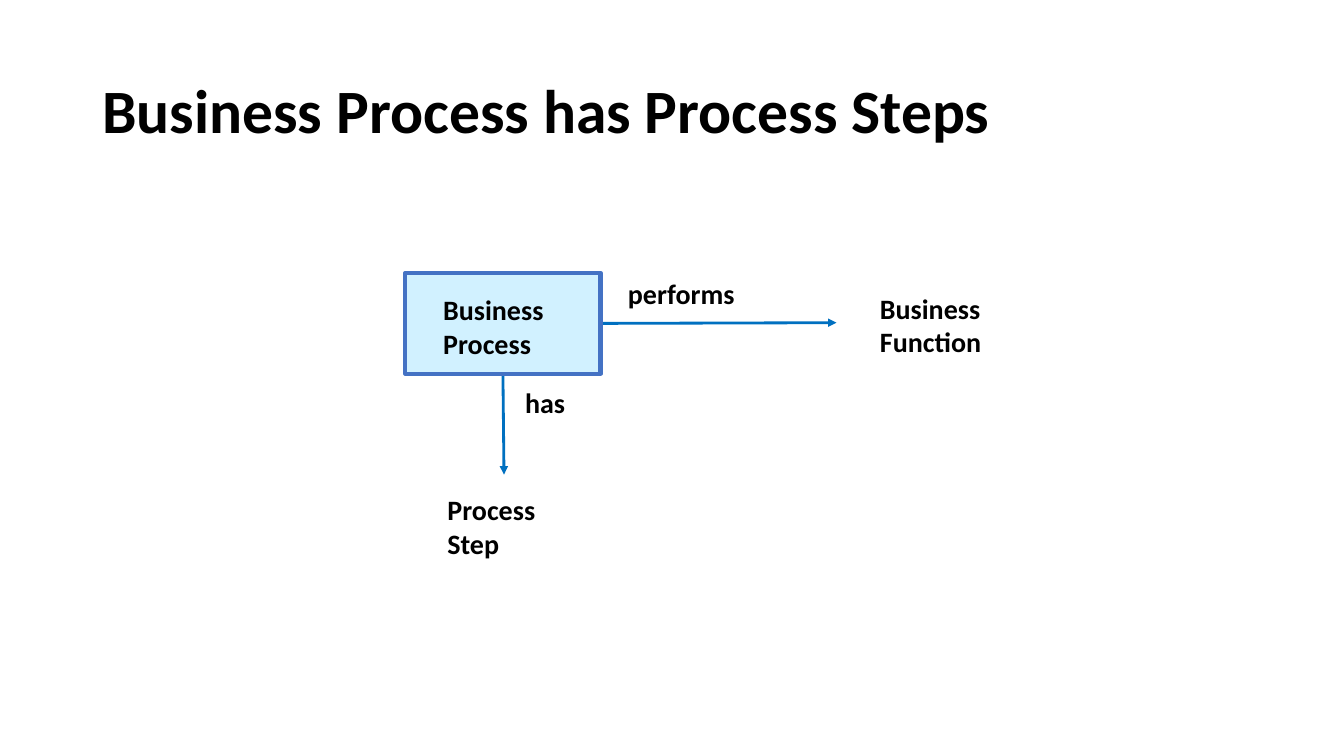
"""Build the slide that relates a business process to its steps and function."""
from typing import NamedTuple

from lxml import etree
from pptx import Presentation
from pptx.dml.color import RGBColor
from pptx.enum.shapes import MSO_CONNECTOR, MSO_SHAPE
from pptx.enum.text import MSO_ANCHOR
from pptx.oxml.ns import qn
from pptx.slide import Slide
from pptx.util import Pt

STRAIGHT = MSO_CONNECTOR.STRAIGHT
RECTANGLE = MSO_SHAPE.RECTANGLE
TOP = MSO_ANCHOR.TOP
MIDDLE = MSO_ANCHOR.MIDDLE

COLORS = {"text": "000000", "relation": "0070C0", "process": "D1F1FF", "border": "4472C4"}


class Label(NamedTuple):
    lines: tuple[str, ...]
    left: float
    top: float
    width: float
    height: float
    size: float = 20
    anchor: MSO_ANCHOR = TOP
    line_spacing: float = 1.0


class Relation(NamedTuple):
    start_x: float
    start_y: float
    end_x: float
    end_y: float


class Box(NamedTuple):
    left: float
    top: float
    width: float
    height: float


PROCESS_BOX = Box(289.5, 195, 139.5, 72)
RELATIONS = (
    Relation(359.25, 267, 360, 339),
    Relation(429, 231, 597.5, 230.5),
)
LABELS = (
    Label(("Business Process has Process Steps",), 66, 29, 828, 104.4, 44, MIDDLE, 0.9),
    Label(("Process Step",), 312.5, 348.5, 110, 55.5),
    Label(("has",), 368, 272, 107.5, 31.5),
    Label(("performs",), 441.5, 194, 168.5, 31.5),
    Label(("Business", "Process"), 309.5, 205.5, 97, 55.5),
    Label(("Business", "Function"), 621.5, 204.5, 93.5, 55.5),
)


def color(key: str) -> RGBColor:
    """Return a named colour."""
    return RGBColor.from_string(COLORS[key])


def draw_process(slide: Slide, box: Box) -> None:
    """Draw the box of the business process."""
    process = slide.shapes.add_shape(RECTANGLE, *map(Pt, box))
    process.shadow.inherit = False
    process.fill.solid()
    process.fill.fore_color.rgb = color("process")
    process.line.color.rgb = color("border")
    process.line.width = Pt(3)


def draw_relation(slide: Slide, relation: Relation) -> None:
    """Draw an arrow for a relation."""
    arrow = slide.shapes.add_connector(STRAIGHT, *map(Pt, relation))
    arrow.line.color.rgb = color("relation")
    arrow.line.width = Pt(2)
    etree.SubElement(arrow.line._get_or_add_ln(), qn("a:tailEnd"), type="triangle")
    etree.SubElement(arrow._element.spPr, qn("a:effectLst"))


def draw_label(slide: Slide, label: Label) -> None:
    """Draw a text label, one paragraph per line."""
    frame = slide.shapes.add_textbox(
        Pt(label.left), Pt(label.top), Pt(label.width), Pt(label.height)
    ).text_frame
    frame.word_wrap = True
    frame.vertical_anchor = label.anchor
    frame.text = "\n".join(label.lines)
    font_format = {"name": "Calibri", "size": Pt(label.size), "bold": True}
    for paragraph in frame.paragraphs:
        paragraph.line_spacing = label.line_spacing
        for run in paragraph.runs:
            for attribute, value in font_format.items():
                setattr(run.font, attribute, value)
            run.font.color.rgb = color("text")


def main() -> None:
    """Build and save the presentation."""
    presentation = Presentation()
    presentation.slide_width = Pt(960)
    presentation.slide_height = Pt(540)
    slide = presentation.slides.add_slide(presentation.slide_layouts[6])
    for relation in RELATIONS:
        draw_relation(slide, relation)
    draw_process(slide, PROCESS_BOX)
    for label in LABELS:
        draw_label(slide, label)
    presentation.save("out.pptx")


if __name__ == "__main__":
    main()
